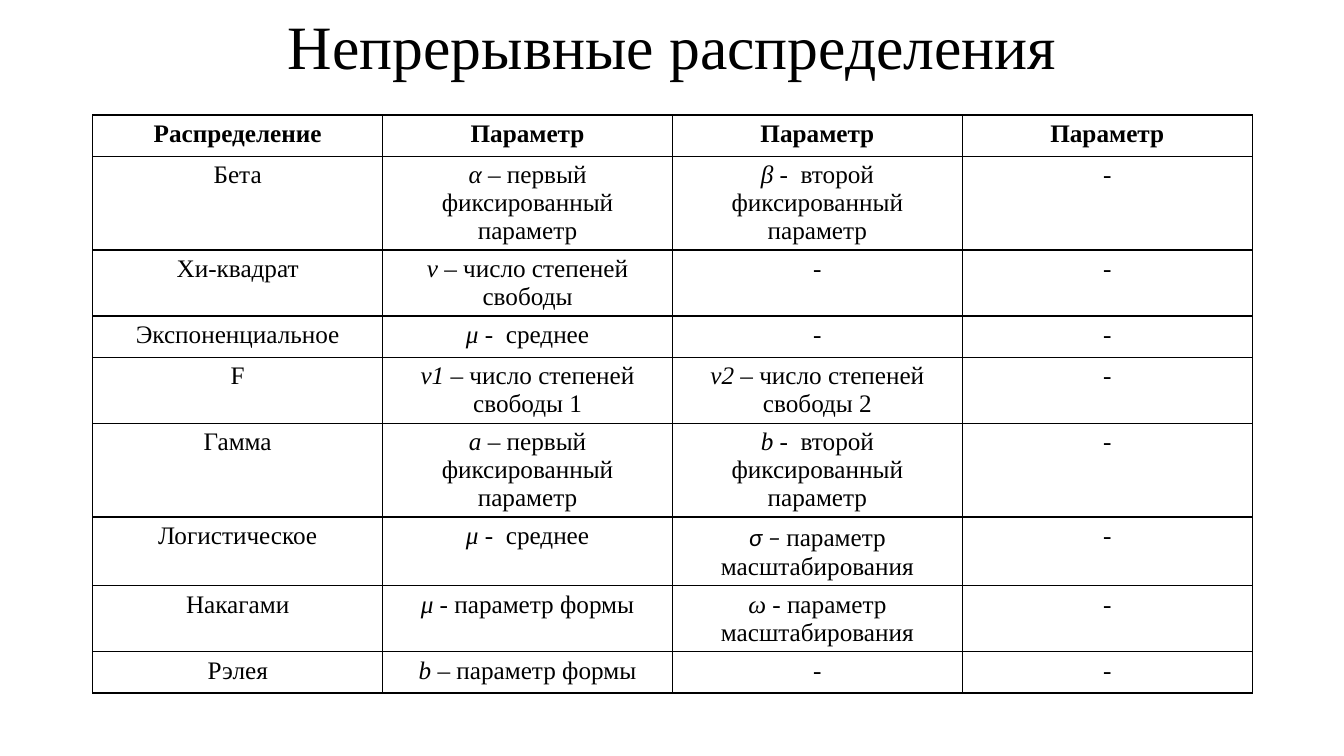
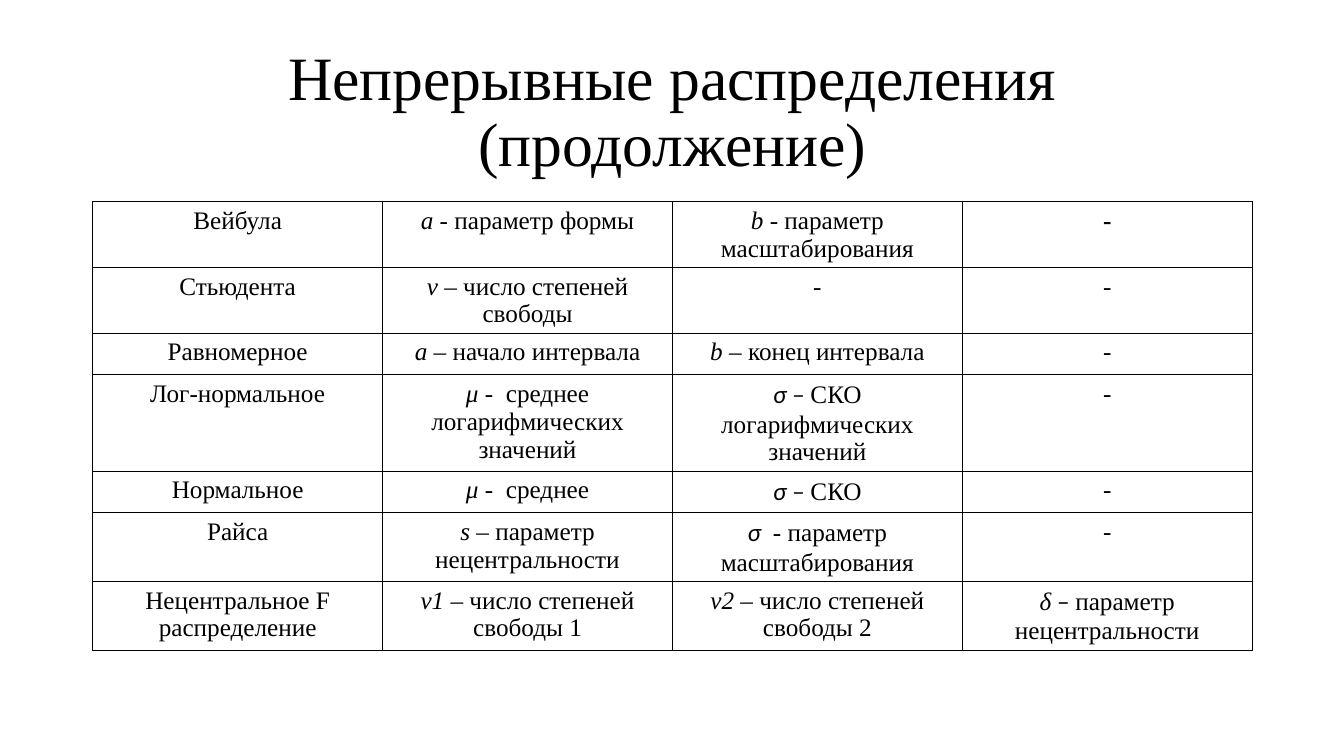
from dataclasses import dataclass
from lxml.etree import SubElement as Sub
from pptx import Presentation
from pptx.dml.color import RGBColor as RGB
from pptx.enum.text import MSO_ANCHOR as Anchor, MSO_AUTO_SIZE as Auto, PP_ALIGN as Align
from pptx.oxml.ns import qn
from pptx.util import Inches, Pt


@dataclass(frozen=True)
class Theme:
    ink: RGB = RGB(0, 0, 0)
    font: str = "Times New Roman"
    sign: str = "Calibri"
    title: int = 44
    body: int = 18
    line: int = 1


theme = Theme()


def write(frame, text, size=theme.body, bold=False, space=None):
    para = frame.paragraphs[0]
    para.alignment = Align.CENTER
    para.line_spacing = space
    runs = [(text, "")] if isinstance(text, str) else text
    for words, style in runs:
        run = para.add_run()
        run.text = words
        font = run.font
        font.name = theme.sign if "c" in style else theme.font
        font.size = Pt(size)
        font.bold = bold or "b" in style
        font.italic = "i" in style
        font.color.rgb = theme.ink


def frame_cell(cell):
    props = cell._tc.get_or_add_tcPr()
    for side in ("lnL", "lnR", "lnT", "lnB"):
        line = Sub(props, qn(f"a:{side}"), w=str(Pt(theme.line)))
        fill = Sub(line, qn("a:solidFill"))
        Sub(fill, qn("a:srgbClr"), val=str(theme.ink))
    cell.fill.background()


none = "-"
mean = [("μ - ", "i"), (" среднее", "")]
free = [("v", "i"), (" – число степеней свободы", "")]
free_1 = [("v1", "i"), (" – число степеней свободы 1", "")]
free_2 = [("v2", "i"), (" – число степеней свободы 2", "")]
first = "– первый фиксированный параметр"
second = " второй фиксированный параметр"
form = "параметр формы"
scale = "параметр масштабирования"
shift = "параметр нецентральности"

main_rows = [
    ["Распределение", "Параметр", "Параметр", "Параметр"],
    ["Бета", [("α ", "i"), (first, "")], [("β - ", "i"), (second, "")], none],
    ["Хи-квадрат", free, none, none],
    ["Экспоненциальное", mean, none, none],
    ["F", free_1, free_2, none],
    ["Гамма", [("a ", "i"), (first, "")], [("b - ", "i"), (second, "")], none],
    ["Логистическое", mean, [("σ – ", "ci"), (scale, "")], none],
    ["Накагами", [("μ - ", "i"), (form, "")], [("ω - ", "i"), (scale, "")], none],
    ["Рэлея", [("b ", "i"), (f"– {form}", "")], none, none],
]
more_rows = [
    ["Вейбула", [("a - ", "i"), (form, "")], [("b - ", "i"), (scale, "")], [(none, "b")]],
    ["Стьюдента", free, none, none],
    ["Равномерное", [("a – ", "i"), ("начало интервала", "")],
     [("b – ", "i"), ("конец интервала", "")], none],
    ["Лог-нормальное", [("μ - ", "i"), (" среднее логарифмических значений", "")],
     [("σ – ", "ci"), ("СКО логарифмических значений", "")], none],
    ["Нормальное", mean, [("σ – ", "ci"), ("СКО", "")], none],
    ["Райса", [("s", "i"), (f" – {shift}", "")],
     [("σ ", "ci"), (" - ", "i"), (scale, "")], none],
    ["Нецентральное F распределение", free_1, free_2,
     [("δ", "i"), (" – ", "c"), (shift, "")]],
]
name = "Непрерывные распределения"
pages = [
    (name, -0.23, 1.14, main_rows, True),
    (f"{name} (продолжение)", 0.4, 2, more_rows, False),
]

deck = Presentation()
deck.slide_width, deck.slide_height = Inches(13.33), Inches(7.5)
left, width, row_high = Inches(0.92), Inches(11.5), Inches(0.41)

for heading, title_top, table_top, rows, header in pages:
    slide = deck.slides.add_slide(deck.slide_layouts[5])
    title = slide.shapes.title
    title.left, title.top = left, Inches(title_top)
    title.width, title.height = width, Inches(1.45)
    frame = title.text_frame
    frame.word_wrap = True
    frame.auto_size = Auto.NONE
    frame.vertical_anchor = Anchor.MIDDLE
    write(frame, heading, size=theme.title, space=0.9)

    count = len(rows)
    table = slide.shapes.add_table(
        count, len(rows[0]), left, Inches(table_top), width, row_high * count).table
    table.first_row = header
    table.horz_banding = False
    for r, row in enumerate(rows):
        table.rows[r].height = row_high
        for c, text in enumerate(row):
            cell = table.cell(r, c)
            frame_cell(cell)
            write(cell.text_frame, text, bold=header and r == 0)

deck.save("out.pptx")
